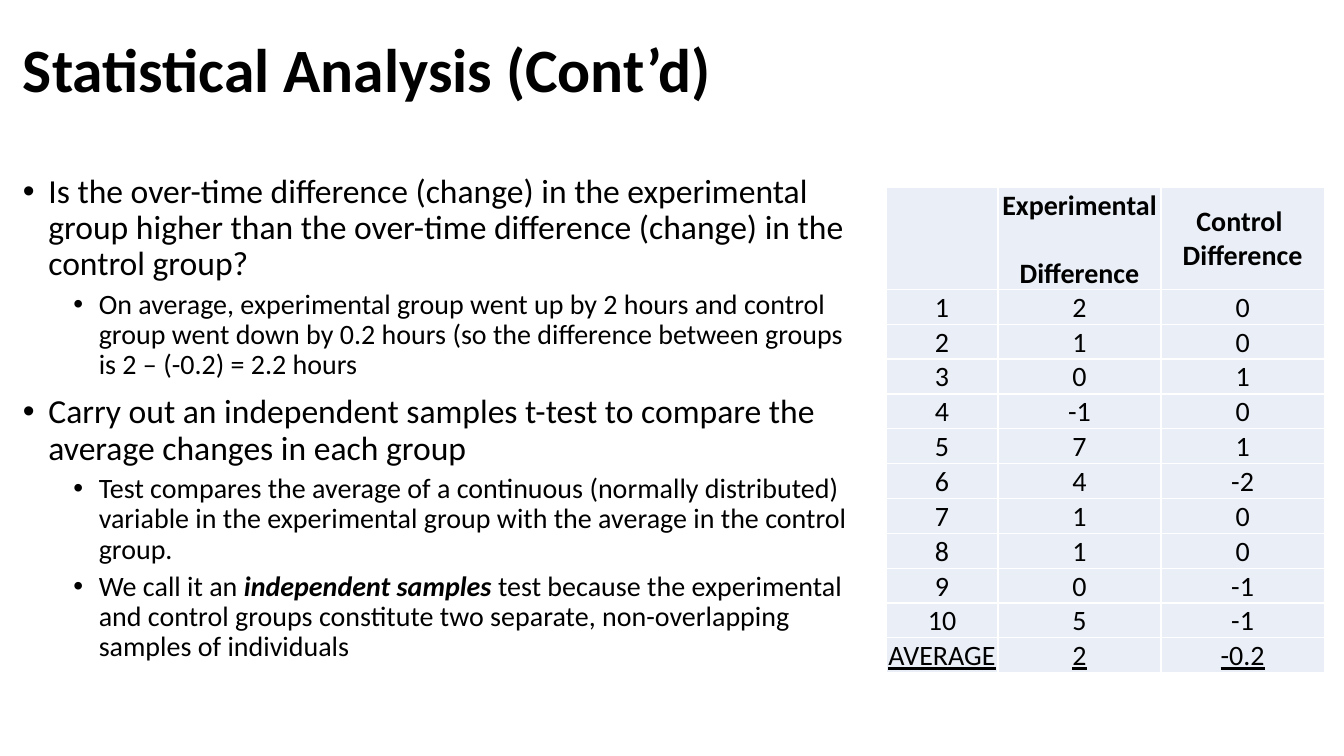
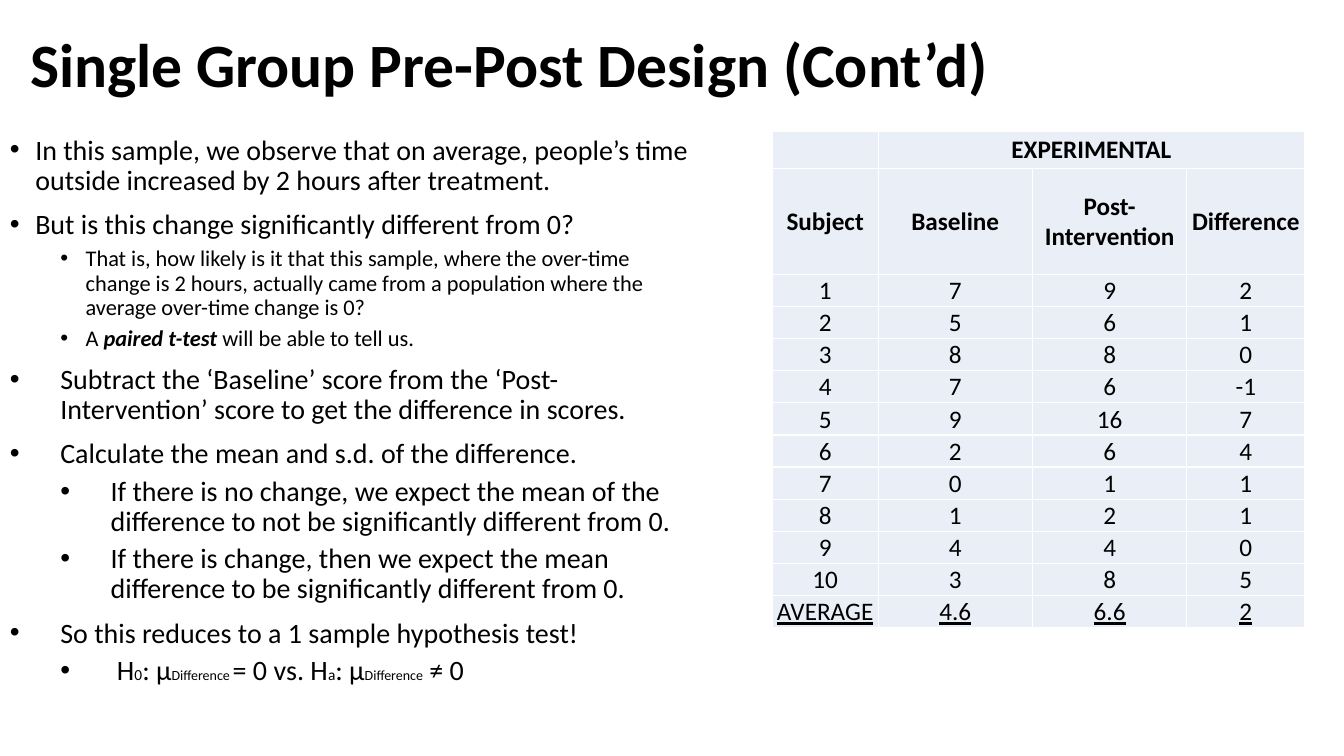
from dataclasses import dataclass

from lxml import etree
from pptx import Presentation
from pptx import util as u
from pptx.dml.color import RGBColor
from pptx.enum import text
from pptx.oxml import ns


@dataclass(frozen=True)
class Theme:
    font: str = "Calibri"
    ink: RGBColor = RGBColor(0, 0, 0)
    cell: RGBColor = RGBColor(0xEA, 0xEF, 0xF7)
    border: str = "FFFFFF"
    title: int = 44
    large: int = 24
    normal: int = 20
    compact: int = 18
    small: int = 16
    index: int = 11
    subscript: int = 10
    gap: int = 9
    leading: float = 0.9


THEME = Theme()
NARROW, WIDE = 0.64, 1.27
SUBJECTS = [str(number) for number in range(1, 11)] + ["AVERAGE"]
EXPERIMENTAL = "2 1 0 -1 7 4 1 1 0 5 2".split()
CONTROL = "0 0 1 0 1 -2 0 0 -1 -1 -0.2".split()
BASELINE = "7 5 8 7 9 2 0 1 4 3 4.6".split()
POST = "9 6 8 6 16 6 1 2 4 8 6.6".split()

COMPARISON_POINTS = [
    (0, NARROW, THEME.large, "Is the over-time difference (change) in the experimental group higher than the over-time difference (change) in the control group?"),
    (1, NARROW, THEME.normal, "On average, experimental group went up by 2 hours and control group went down by 0.2 hours (so the difference between groups is 2 – (-0.2) = 2.2 hours"),
    (0, NARROW, THEME.large, "Carry out an independent samples t-test to compare the average changes in each group"),
    (1, NARROW, THEME.normal, "Test compares the average of a continuous (normally distributed) variable in the experimental group with the average in the control group."),
    (1, NARROW, THEME.normal, [
        ("We call it an ", None, False),
        ("independent samples", None, True),
        (" test because the experimental and control groups constitute two separate, non-overlapping samples of individuals", None, False),
    ]),
]

PAIRED_POINTS = [
    (0, NARROW, THEME.normal, "In this sample, we observe that on average, people’s time outside increased by 2 hours after treatment."),
    (0, NARROW, THEME.normal, "But is this change significantly different from 0?"),
    (1, NARROW, THEME.small, "That is, how likely is it that this sample, where the over-time change is 2 hours, actually came from a population where the average over-time change is 0?"),
    (1, NARROW, THEME.small, [
        ("A ", None, False),
        ("paired t-test ", None, True),
        ("will be able to tell us.", None, False),
    ]),
    (0, WIDE, THEME.normal, "Subtract the ‘Baseline’ score from the ‘Post-Intervention’ score to get the difference in scores."),
    (0, WIDE, THEME.normal, "Calculate the mean and s.d. of the difference."),
    (1, WIDE, THEME.normal, "If there is no change, we expect the mean of the difference to not be significantly different from 0."),
    (1, WIDE, THEME.normal, "If there is change, then we expect the mean difference to be significantly different from 0."),
    (0, WIDE, THEME.normal, "So this reduces to a 1 sample hypothesis test!"),
    (1, WIDE, THEME.normal, [
        (" H", None, False),
        ("0", THEME.index, False),
        (": μ", None, False),
        ("Difference", THEME.subscript, False),
        (" ", THEME.gap, False),
        ("= 0 vs. H", None, False),
        ("a", THEME.index, False),
        (": μ", None, False),
        ("Difference", THEME.subscript, False),
        (" ≠ 0", None, False),
    ]),
]


def style_font(font, size, bold=False):
    font.name = THEME.font
    font.size = u.Pt(size)
    font.bold = bold
    font.color.rgb = THEME.ink


def add_frame(page, box):
    frame = page.shapes.add_textbox(*map(u.Cm, box)).text_frame
    frame.word_wrap = True
    return frame


def add_title(page, box, wording):
    frame = add_frame(page, box)
    frame.vertical_anchor = text.MSO_ANCHOR.MIDDLE
    para = frame.paragraphs[0]
    para.text = wording
    para.line_spacing = THEME.leading
    style_font(para.font, THEME.title, bold=True)


def set_bullet(para, left, hang):
    properties = para._p.get_or_add_pPr()
    properties.set("marL", str(u.Cm(left)))
    properties.set("indent", str(-u.Cm(hang)))
    etree.SubElement(properties, ns.qn("a:buFont"), typeface="Arial")
    etree.SubElement(properties, ns.qn("a:buChar"), char="•")


def add_bullets(page, box, points):
    frame = add_frame(page, box)
    for number, (level, hang, size, content) in enumerate(points):
        para = frame.add_paragraph() if number else frame.paragraphs[0]
        para.level = level
        para.line_spacing = THEME.leading
        para.space_before = u.Pt(5 if level else 10)
        set_bullet(para, level * WIDE + hang, hang)
        style_font(para.font, size)
        spans = [(content, None, False)] if isinstance(content, str) else content
        for wording, span_size, emphasis in spans:
            span = para.add_run()
            span.text = wording
            if span_size:
                span.font.size = u.Pt(span_size)
            if emphasis:
                span.font.bold = span.font.italic = True


def set_borders(cell):
    properties = cell._tc.get_or_add_tcPr()
    for side in ("lnL", "lnR", "lnT", "lnB"):
        line = etree.SubElement(properties, ns.qn(f"a:{side}"), w=str(u.Pt(1)))
        fill = etree.SubElement(line, ns.qn("a:solidFill"))
        etree.SubElement(fill, ns.qn("a:srgbClr"), val=THEME.border)


def fill_cell(cell, wording, size, bold, underline):
    cell.margin_left = cell.margin_right = cell.margin_top = u.Cm(0.03)
    cell.margin_bottom = 0
    cell.vertical_anchor = text.MSO_ANCHOR.MIDDLE
    set_borders(cell)
    cell.fill.solid()
    cell.fill.fore_color.rgb = THEME.cell
    para = cell.text_frame.paragraphs[0]
    para.text = wording
    para.alignment = text.PP_ALIGN.CENTER
    style_font(para.font, size, bold)
    if underline:
        para.font.underline = True


def add_data_table(page, box, widths, heights, headers, columns, size):
    rows = headers + list(zip(*columns))
    frame = page.shapes.add_table(len(rows), len(widths), *map(u.Cm, box))
    table = frame.table
    table.first_row = table.horz_banding = False
    for column, width in zip(table.columns, widths):
        column.width = u.Cm(width)
    for row, height in zip(table.rows, heights):
        row.height = u.Cm(height)
    for row_number, row in enumerate(rows):
        for column_number, wording in enumerate(row):
            fill_cell(
                table.cell(row_number, column_number), wording, size,
                bold=row_number < len(headers),
                underline=row_number == len(rows) - 1,
            )
    return table


def build_comparison(page):
    add_title(page, (0.33, 0, 29.21, 3.68), "Statistical Analysis (Cont’d)")
    add_data_table(
        page, (22.33, 4.72, 11.04, 11.33),
        widths=[2.82, 4.11, 4.11],
        heights=[1.47] + [0.74] * 11,
        headers=[("", "Experimental \vDifference", "Control \vDifference")],
        columns=[SUBJECTS, EXPERIMENTAL, CONTROL],
        size=THEME.normal,
    )
    add_bullets(page, (0.33, 4.27, 21.56, 14.33), COMPARISON_POINTS)


def build_paired(page):
    add_title(page, (0.51, 0.41, 29.21, 2.59), "Single Group Pre-Post Design (Cont’d)")
    table = add_data_table(
        page, (19.46, 3.3, 13.42, 12.45),
        widths=[2.67, 3.89, 3.89, 2.97],
        heights=[0.94, 2.67] + [0.81] * 10 + [0.69],
        headers=[
            ("", "EXPERIMENTAL", "", ""),
            ("Subject", "Baseline", "Post-Intervention", "Difference"),
        ],
        columns=[SUBJECTS, BASELINE, POST, EXPERIMENTAL],
        size=THEME.compact,
    )
    table.cell(0, 1).merge(table.cell(0, 3))
    add_bullets(page, (0, 3.3, 17.81, 14.45), PAIRED_POINTS)


def main():
    deck = Presentation()
    deck.slide_width = u.Cm(33.87)
    deck.slide_height = u.Cm(19.05)
    for build in (build_comparison, build_paired):
        build(deck.slides.add_slide(deck.slide_layouts[6]))
    deck.save("out.pptx")


if __name__ == "__main__":
    main()
